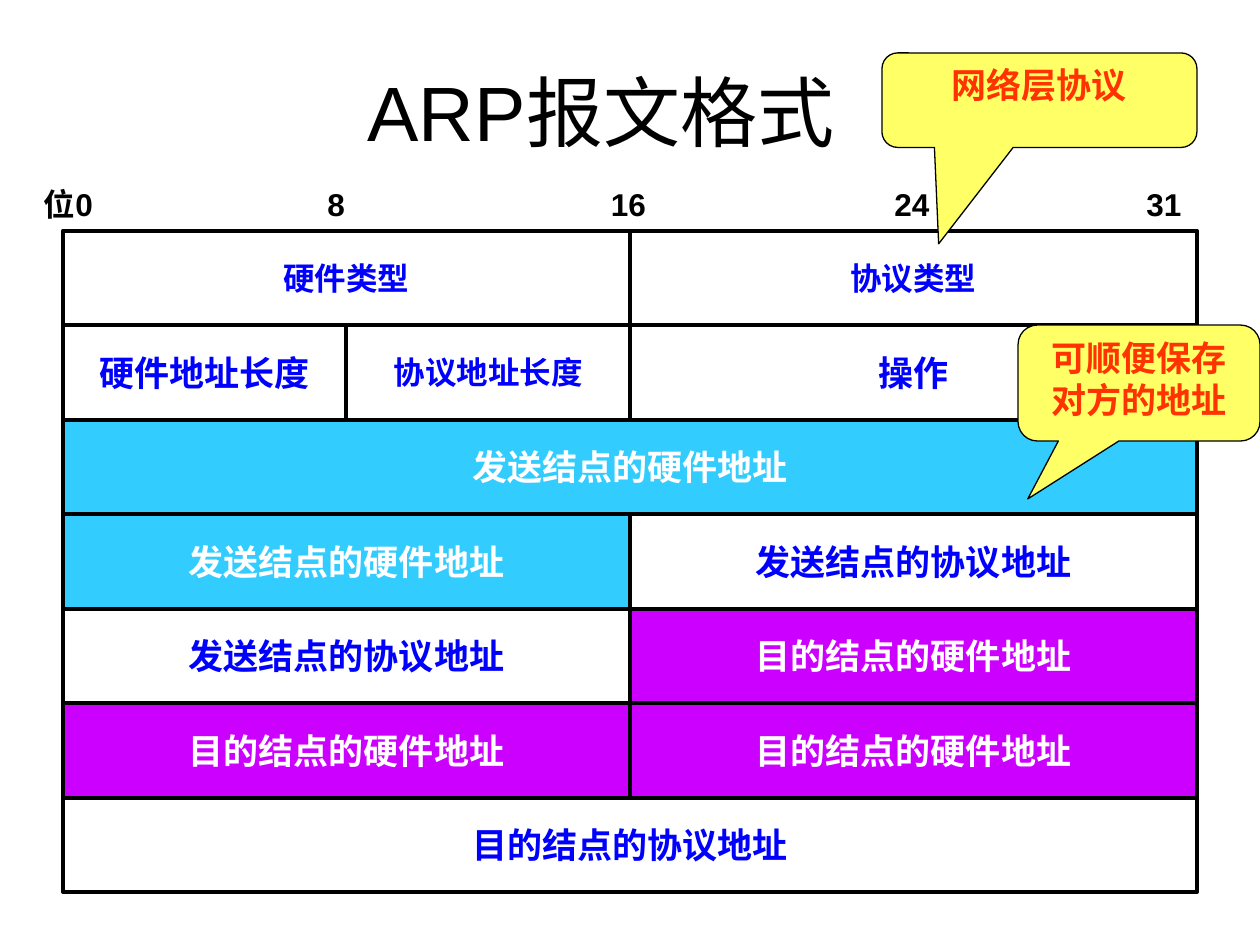
import dataclasses

import pptx
import pptx.util
import pptx.dml.color
import pptx.enum.shapes
import pptx.enum.text

Inches = pptx.util.Inches
Kind = pptx.enum.shapes.MSO_SHAPE
Align = pptx.enum.text.PP_ALIGN
Anchor = pptx.enum.text.MSO_ANCHOR

BLACK, WHITE, BLUE = "000000", "FFFFFF", "0000FF"
CYAN, PURPLE, YELLOW, RED = "33CCFF", "CC00FF", "FFFF66", "FF3300"
LEFT, TOP, HIGH, BIT = 0.5, 1.83, 0.75, 9 / 32


@dataclasses.dataclass
class Cell:
    text: str
    bits: int
    size: int = 20
    fill: str = WHITE
    ink: str = BLUE


@dataclasses.dataclass
class Mark:
    text: str
    left: float
    width: float = 0.5


@dataclasses.dataclass
class Note:
    text: str
    box: tuple[float, float, float, float]
    tip: tuple[float, float]


ROWS = [
    [Cell("硬件类型", 16, 18), Cell("协议类型", 16, 18)],
    [Cell("硬件地址长度", 8), Cell("协议地址长度", 8, 18), Cell("操作", 16)],
    [Cell("发送结点的硬件地址", 32, fill=CYAN, ink=WHITE)],
    [Cell("发送结点的硬件地址", 16, fill=CYAN, ink=WHITE),
     Cell("发送结点的协议地址", 16)],
    [Cell("发送结点的协议地址", 16),
     Cell("目的结点的硬件地址", 16, fill=PURPLE, ink=WHITE)],
    [Cell("目的结点的硬件地址", 16, fill=PURPLE, ink=WHITE)] * 2,
    [Cell("目的结点的协议地址", 32)],
]
MARKS = [Mark("位0", 0.25, 1.08), Mark("8", 2.5), Mark("16", 4.75),
         Mark("24", 7), Mark("31", 9)]
NOTES = [
    Note("网络层协议", (7, 0.42, 2.5, 0.75), (-0.32, 1.52)),
    Note("可顺便保存\n对方的地址", (8.08, 2.58, 1.92, 0.92), (-0.46, 1)),
]


def color(code: str):
    return pptx.dml.color.RGBColor.from_string(code)


def write(frame, text: str, *, size=20, ink=BLACK, bold=True,
          align=Align.CENTER, anchor=Anchor.TOP) -> None:
    frame.text = text
    frame.word_wrap = True
    frame.vertical_anchor = anchor
    for para in frame.paragraphs:
        para.alignment = align
        for run in para.runs:
            font = run.font
            font.name = "Arial"
            font.size = pptx.util.Pt(size)
            font.bold = bold
            font.color.rgb = color(ink)


def block(slide, kind, box: tuple, fill: str, line: float):
    shape = slide.shapes.add_shape(kind, *map(Inches, box))
    shape.shadow.inherit = False
    shape.fill.solid()
    shape.fill.fore_color.rgb = color(fill)
    shape.line.color.rgb = color(BLACK)
    shape.line.width = pptx.util.Pt(line)
    return shape


def draw_row(slide, top: float, cells: list[Cell]) -> None:
    left = LEFT
    for cell in cells:
        width = cell.bits * BIT
        shape = block(slide, Kind.RECTANGLE, (left, top, width, HIGH),
                      cell.fill, 2.25)
        write(shape.text_frame, cell.text, size=cell.size, ink=cell.ink,
              anchor=Anchor.MIDDLE)
        left += width


def draw_mark(slide, mark: Mark) -> None:
    box = slide.shapes.add_textbox(
        *map(Inches, (mark.left, 1.42, mark.width, 0.4)))
    write(box.text_frame, mark.text, size=18, align=Align.LEFT)


def draw_note(slide, note: Note) -> None:
    shape = block(slide, Kind.ROUNDED_RECTANGULAR_CALLOUT, note.box,
                  YELLOW, 0.75)
    shape.adjustments[0], shape.adjustments[1] = note.tip
    write(shape.text_frame, note.text, ink=RED)


def draw_title(slide) -> None:
    title = slide.shapes.title
    title.left, title.top = Inches(0.42), Inches(0.25)
    title.width, title.height = Inches(9), Inches(1.25)
    title.text_frame.margin_right = Inches(0.4)
    write(title.text_frame, "ARP报文格式", size=44, bold=False,
          anchor=Anchor.MIDDLE)


def main() -> None:
    deck = pptx.Presentation()
    deck.slide_width, deck.slide_height = Inches(10), Inches(7.5)
    slide = deck.slides.add_slide(deck.slide_layouts[5])
    draw_title(slide)
    for step, cells in enumerate(ROWS):
        draw_row(slide, TOP + step * HIGH, cells)
    for mark in MARKS:
        draw_mark(slide, mark)
    for note in NOTES:
        draw_note(slide, note)
    deck.save("out.pptx")


if __name__ == "__main__":
    main()
